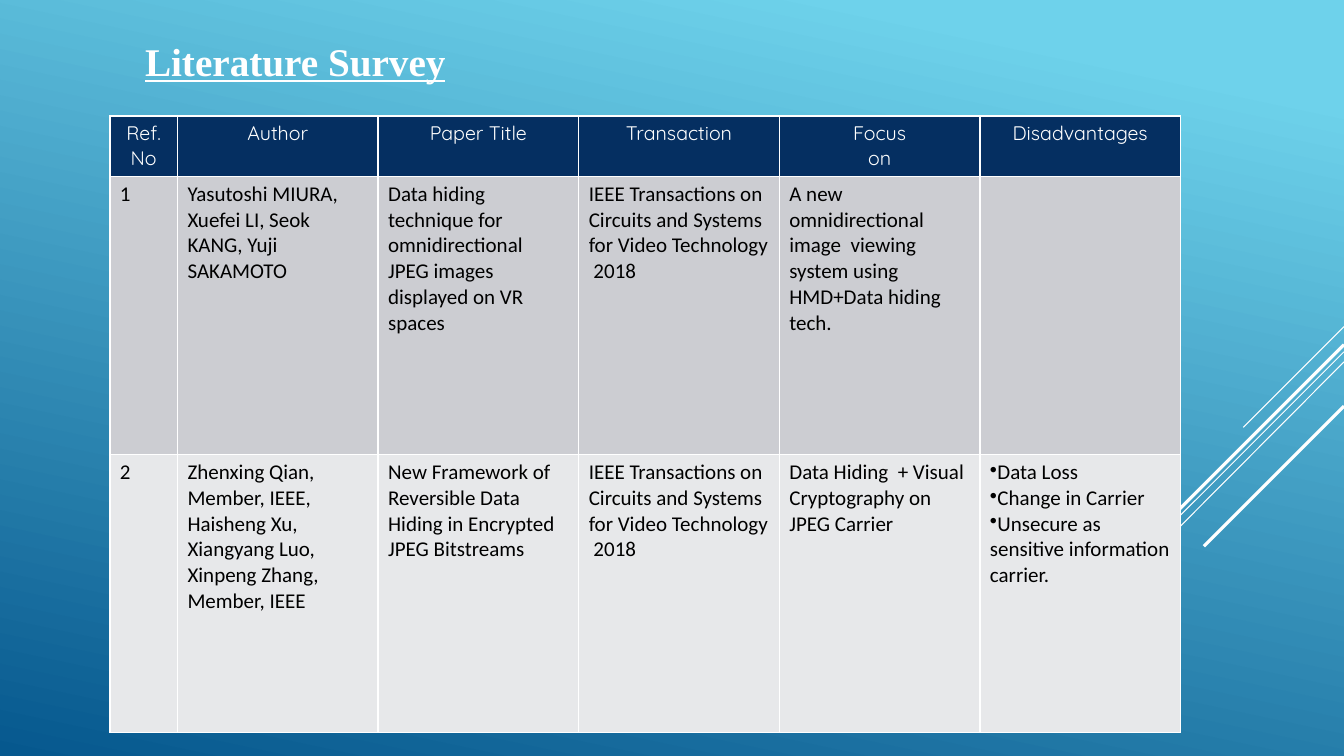
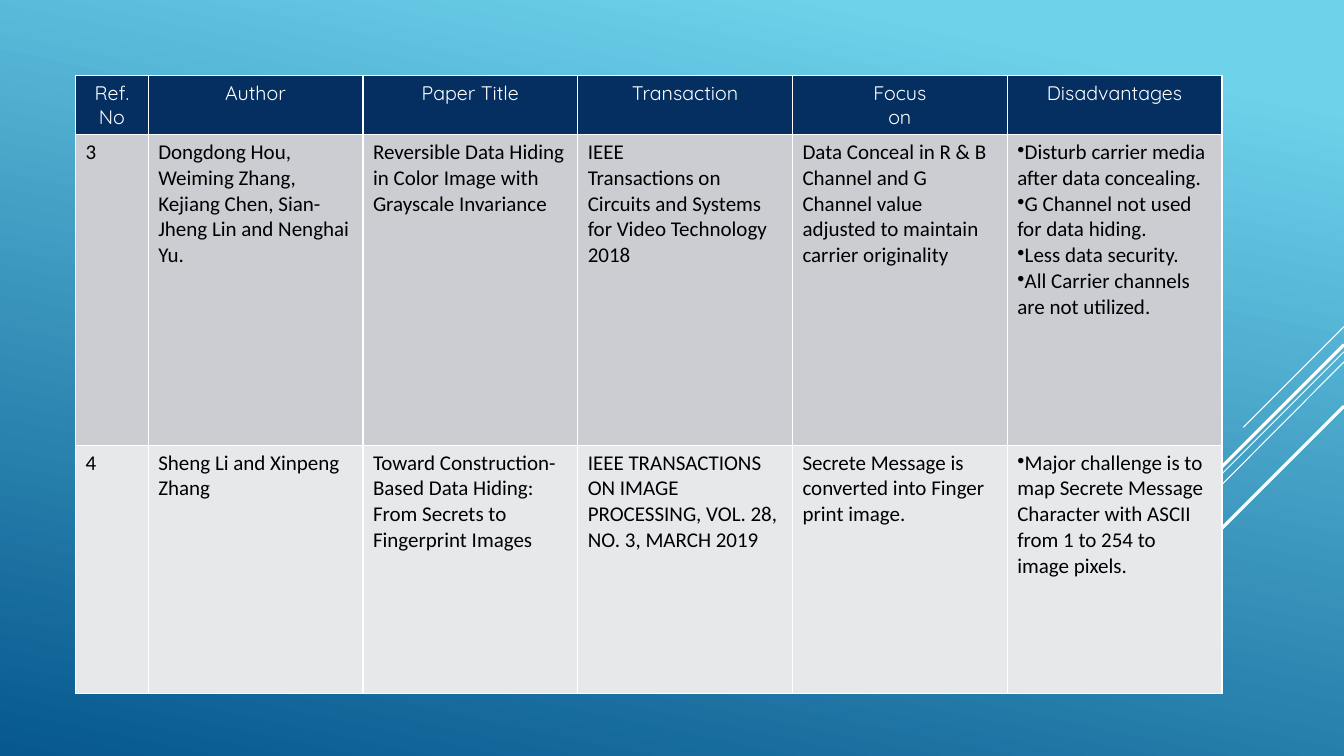
from lxml import etree
from pptx import Presentation
from pptx.dml.color import RGBColor
from pptx.enum import shapes, text
from pptx.oxml import ns
from pptx.util import Inches, Pt

WHITE, BLACK, NAVY = "FFFFFF", "000000", "052F61"
ROW_FILLS = (NAVY, "CCCDD2", "E7E8EA")
SKY = ((0.1, "6ED2EB"), (1, "06588E"))
RAYS = (
    (13.33, 3.24, 12.33, 4.24, 0.75),
    (13.33, 3.49, 10.07, 6.75, 0.75),
    (13.33, 3.59, 11.26, 5.67, 0.75),
    (13.33, 3.42, 11.42, 5.33, 2.25),
    (13.33, 4.03, 11.94, 5.42, 2.25),
)
BULLET = "•"
HEADER = ("Ref. No", "Author", "Paper Title", "Transaction", "Focus\non", "Disadvantages")
VIDEO_JOURNAL = "IEEE Transactions on Circuits and Systems for Video Technology  2018"
FIRST_PAPERS = (
    ("1",
     "Yasutoshi MIURA, Xuefei LI, Seok KANG, Yuji SAKAMOTO",
     "Data hiding technique for omnidirectional\nJPEG images displayed on VR spaces",
     VIDEO_JOURNAL,
     "A new omnidirectional image  viewing system using HMD+Data hiding tech.",
     ""),
    ("2",
     "Zhenxing Qian, Member, IEEE, Haisheng Xu, Xiangyang Luo, Xinpeng Zhang, Member, IEEE",
     "New Framework of Reversible Data Hiding in Encrypted JPEG Bitstreams",
     VIDEO_JOURNAL,
     "Data Hiding  + Visual Cryptography on JPEG Carrier",
     "Data Loss\nChange in Carrier\nUnsecure as sensitive information carrier."),
)
LATER_PAPERS = (
    ("3",
     "Dongdong Hou, Weiming Zhang, Kejiang Chen, Sian-Jheng Lin and Nenghai Yu.",
     "Reversible Data Hiding in Color Image with\nGrayscale Invariance",
     "IEEE\nTransactions on Circuits and Systems for Video Technology 2018",
     "Data Conceal in R & B Channel and G Channel value adjusted to maintain carrier originality",
     "Disturb carrier media after data concealing.\nG Channel not used for data hiding.\n"
     "Less data security.\nAll Carrier channels are not utilized."),
    ("4",
     "Sheng Li and Xinpeng Zhang",
     "Toward Construction-Based Data Hiding:\nFrom Secrets to Fingerprint Images",
     "IEEE TRANSACTIONS ON IMAGE PROCESSING, VOL. 28, NO. 3, MARCH 2019",
     "Secrete Message is converted into Finger print image.",
     "Major challenge is to map Secrete Message Character with ASCII from 1 to 254 to image pixels."),
)


def rgb(value):
    """Turn a hex string into a colour."""
    return RGBColor.from_string(value)


def set_font(font, name, size, color):
    """Set the face, size and colour of a font."""
    font.name, font.size = name, Pt(size)
    font.color.rgb = rgb(color)


def set_background(master):
    """Give the master its sky gradient."""
    fill = master.background.fill
    fill.gradient()
    fill.gradient_angle = 360 - 102
    for stop, (position, color) in zip(fill.gradient_stops, SKY):
        stop.position = position
        stop.color.rgb = rgb(color)


def add_ray(s, x1, y1, x2, y2, width):
    """Draw one white diagonal line."""
    ray = s.shapes.add_connector(shapes.MSO_CONNECTOR.STRAIGHT, *map(Inches, (x1, y1, x2, y2)))
    ray.line.color.rgb = rgb(WHITE)
    ray.line.width = Pt(width)
    etree.SubElement(ray._element.spPr, ns.qn("a:effectLst"))


def add_slide(prs):
    """Add a blank slide with the diagonal lines."""
    s = prs.slides.add_slide(prs.slide_layouts[6])
    for ray in RAYS:
        add_ray(s, *ray)
    return s


def add_title(s, title):
    """Add the underlined slide title."""
    tf = s.shapes.add_textbox(Inches(1.34), Inches(0.32), Inches(3.48), Inches(0.57)).text_frame
    tf.word_wrap = True
    tf.text = title
    font = tf.paragraphs[0].runs[0].font
    set_font(font, "Times New Roman", 28, WHITE)
    font.bold = font.underline = True


def set_borders(cell):
    """Draw thin white lines on all sides of a cell."""
    tcPr = cell._tc.get_or_add_tcPr()
    for side in ("lnL", "lnR", "lnT", "lnB"):
        ln = etree.SubElement(tcPr, ns.qn(f"a:{side}"), w=str(Pt(1)))
        fill = etree.SubElement(ln, ns.qn("a:solidFill"))
        etree.SubElement(fill, ns.qn("a:srgbClr"), val=WHITE)


def fill_cell(cell, content, fill, is_header, is_bulleted):
    """Write and format one table cell."""
    set_borders(cell)
    cell.fill.solid()
    cell.fill.fore_color.rgb = rgb(fill)
    cell.text_frame.text = content
    for p in cell.text_frame.paragraphs:
        if is_header:
            p.alignment = text.PP_ALIGN.CENTER
        if is_bulleted and p.runs:
            etree.SubElement(p._p.get_or_add_pPr(), ns.qn("a:buChar"), char=BULLET)
        for r in p.runs:
            if is_header:
                set_font(r.font, "Quicksand", 14, WHITE)
            else:
                set_font(r.font, "Calibri", 15, BLACK)


def add_survey(s, left, top, number_width, column_width, heights, papers):
    """Add a table of papers under the shared header."""
    rows = (HEADER, *papers)
    widths = [number_width] + [column_width] * (len(HEADER) - 1)
    table = s.shapes.add_table(len(rows), len(widths), Inches(left), Inches(top),
                               Inches(sum(widths)), Inches(sum(heights))).table
    table.first_row = table.horz_banding = False
    for column, width in zip(table.columns, widths):
        column.width = Inches(width)
    for i, (row, height) in enumerate(zip(rows, heights)):
        table.rows[i].height = Inches(height)
        for j, content in enumerate(row):
            is_bulleted = i > 0 and j == len(HEADER) - 1
            fill_cell(table.cell(i, j), content, ROW_FILLS[i], i == 0, is_bulleted)


def main():
    """Build and save the presentation."""
    prs = Presentation()
    prs.slide_width, prs.slide_height = Inches(13.33), Inches(7.5)
    set_background(prs.slide_master)

    s = add_slide(prs)
    add_survey(s, 1.09, 1.15, 0.67, 1.99, (0.6, 2.76, 2.76), FIRST_PAPERS)
    add_title(s, "Literature Survey")

    s = add_slide(prs)
    add_survey(s, 0.75, 0.75, 0.72, 2.13, (0.56, 3.08, 2.46), LATER_PAPERS)

    prs.save("out.pptx")


if __name__ == "__main__":
    main()
